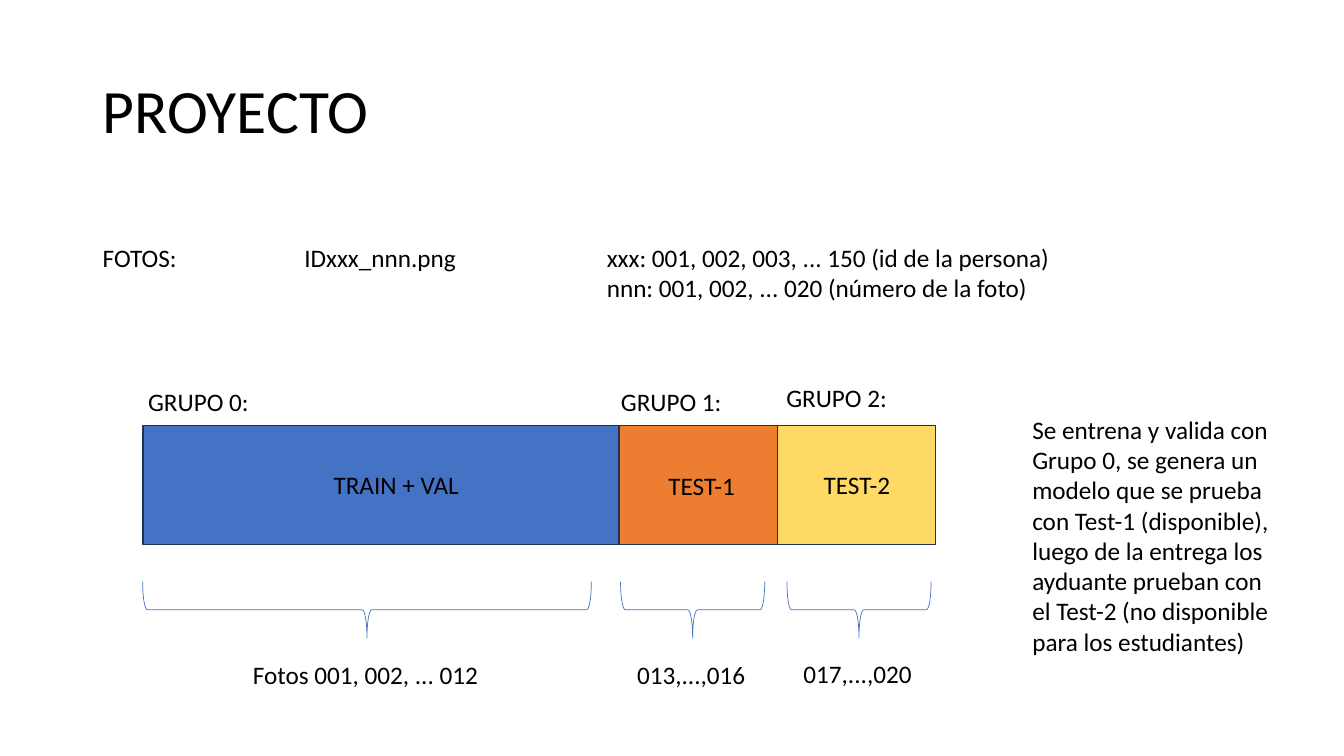
"""Build the PROYECTO slide showing how the photos split into three groups."""
from lxml import etree
from pptx import Presentation
from pptx.dml.color import RGBColor
from pptx.enum.shapes import MSO_SHAPE
from pptx.enum.text import MSO_ANCHOR, MSO_AUTO_SIZE, PP_ALIGN
from pptx.oxml.ns import qn
from pptx.util import Inches, Pt

RECTANGLE, BRACE = MSO_SHAPE.RECTANGLE, MSO_SHAPE.LEFT_BRACE
MIDDLE, LEFT = MSO_ANCHOR.MIDDLE, PP_ALIGN.LEFT
GROW = MSO_AUTO_SIZE.SHAPE_TO_FIT_TEXT
BLACK = RGBColor(0x00, 0x00, 0x00)
BLUE = RGBColor(0x44, 0x72, 0xC4)
ORANGE = RGBColor(0xED, 0x7D, 0x31)
YELLOW = RGBColor(0xFF, 0xD9, 0x66)
NAVY = RGBColor(0x1E, 0x32, 0x56)


def add_run(p, text, size=18):
    r = p.add_run()
    r.text = text
    r.font.name = "Calibri"
    r.font.size = Pt(size)
    r.font.color.rgb = BLACK


def add_text(left, top, width, height, paragraphs, wrap=False):
    box = s.shapes.add_textbox(Inches(left), Inches(top), Inches(width), Inches(height))
    tf = box.text_frame
    tf.word_wrap = wrap
    tf.auto_size = GROW
    for i, (text, tabs) in enumerate(paragraphs):
        p = tf.add_paragraph() if i else tf.paragraphs[0]
        if tabs:
            tab_list = etree.SubElement(p._p.get_or_add_pPr(), qn("a:tabLst"))
            for pos in tabs:
                etree.SubElement(tab_list, qn("a:tab"), pos=str(Inches(pos)), algn="l")
        add_run(p, text)


prs = Presentation()
prs.slide_width = Inches(13.33)
prs.slide_height = Inches(7.5)
s = prs.slides.add_slide(prs.slide_layouts[5])

title = s.shapes.title
title.left, title.top = Inches(0.92), Inches(0.4)
title.width, title.height = Inches(11.5), Inches(1.45)
tf = title.text_frame
tf.vertical_anchor = MIDDLE
tf.word_wrap = True
p = tf.paragraphs[0]
p.alignment = LEFT
p.line_spacing = 0.9
add_run(p, "PROYECTO", 44)

add_text(0.92, 2.35, 9.69, 0.71, [
    ("FOTOS:\tIDxxx_nnn.png\txxx: 001, 002, 003, ... 150 (id de la persona)", (2, 5)),
    ("\tnnn: 001, 002, ... 020 (número de la foto)", (5,)),
])

BAR_TOP, BAR_HEIGHT = 4.22, 1.18
BRACE_MIDDLE, BRACE_DEPTH = 6.05, 0.56
groups = [
    (4.72, BLUE, ("TRAIN + VAL", 3.21, 4.61, 1.46), ("GRUPO 0:", 1.37, 3.78, 1.21),
     ("Fotos 001, 002, ... 012", 2.41, 6.49, 2.46), (3.64, 4.45)),
    (1.57, ORANGE, ("TEST-1", 6.53, 4.62, 0.87), ("GRUPO 1:", 6.06, 3.78, 1.21),
     ("013,...,016", 6.22, 6.49, 1.29), (6.87, 1.43)),
    (1.57, YELLOW, ("TEST-2", 8.07, 4.61, 0.87), ("GRUPO 2:", 7.7, 3.74, 1.21),
     ("017,...,020", 7.87, 6.48, 1.29), (8.52, 1.43)),
]
bar_left = 1.42
for bar_width, color, name, heading, photos, (brace_center, brace_span) in groups:
    bar = s.shapes.add_shape(RECTANGLE, Inches(bar_left), Inches(BAR_TOP),
                             Inches(bar_width), Inches(BAR_HEIGHT))
    bar.shadow.inherit = False
    bar.fill.solid()
    bar.fill.fore_color.rgb = color
    bar.line.color.rgb = NAVY
    bar.line.width = Pt(1)
    bar_left += bar_width

    brace = s.shapes.add_shape(BRACE, Inches(brace_center - BRACE_DEPTH / 2),
                               Inches(BRACE_MIDDLE - brace_span / 2),
                               Inches(BRACE_DEPTH), Inches(brace_span))
    brace.rotation = 270
    brace.shadow.inherit = False
    brace.fill.background()
    brace.line.color.rgb = BLUE
    brace.line.width = Pt(0.5)

    for text, left, top, width in (name, heading, photos):
        add_text(left, top, width, 0.4, [(text, ())])

add_text(10.14, 4.06, 2.69, 2.52, [(
    "Se entrena y valida con Grupo 0, se genera un modelo que se prueba con "
    "Test-1 (disponible), luego de la entrega los ayduante prueban con el "
    "Test-2 (no disponible para los estudiantes)", ())], wrap=True)

prs.save("out.pptx")
